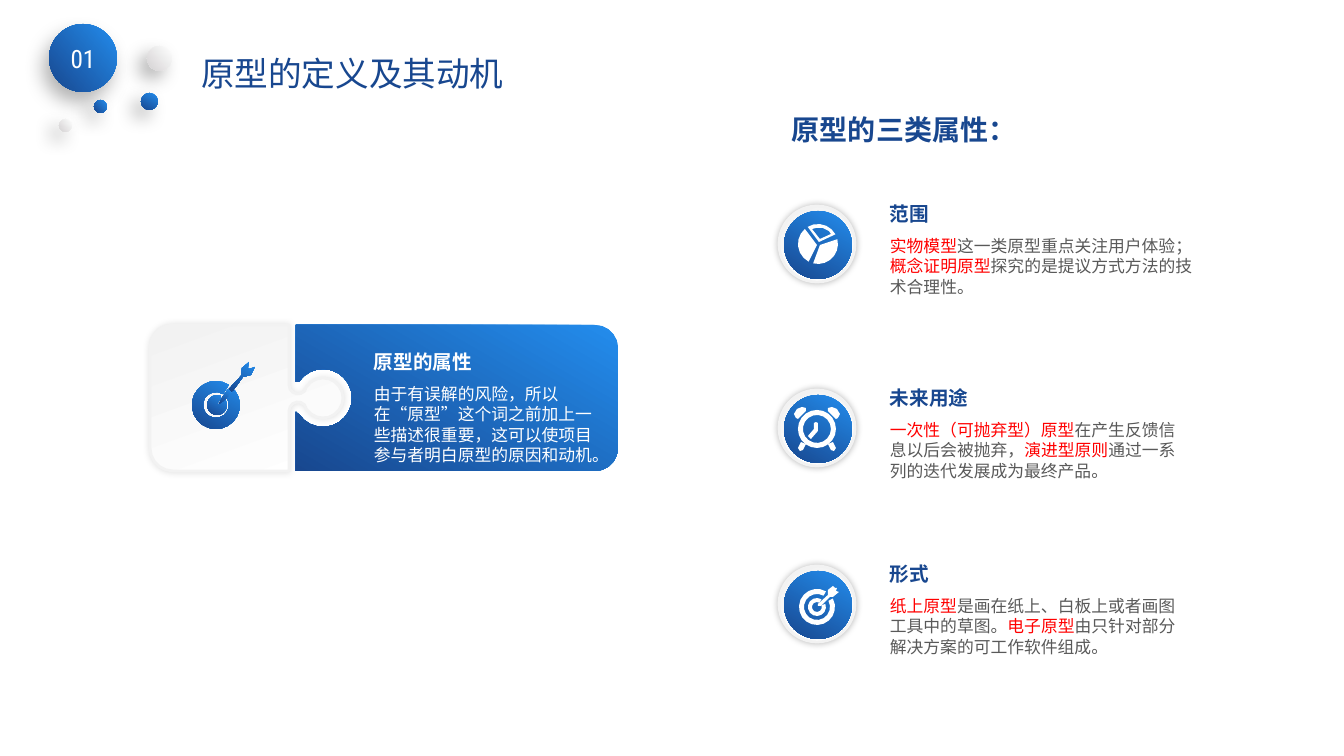
from math import cos, radians, sin, sqrt

from lxml import etree
from pptx import Presentation
from pptx.dml.color import RGBColor
from pptx.enum.shapes import MSO_SHAPE
from pptx.enum.text import MSO_ANCHOR, PP_ALIGN
from pptx.oxml.ns import qn
from pptx.util import Pt

OVAL = MSO_SHAPE.OVAL
TOP, MIDDLE = MSO_ANCHOR.TOP, MSO_ANCHOR.MIDDLE
LEFT, CENTER = PP_ALIGN.LEFT, PP_ALIGN.CENTER
PX = 914400 / 100.8
NAVY, RED, GRAY, WHITE, PALE = "18478F", "FF0000", "595959", "FFFFFF", "F2F2F2"
BLUE, SNOW, ASH = ("238DED", NAVY), (WHITE, PALE), (WHITE, "D4D2D3")
SANS = "Noto Sans CJK SC"


def emu(*vals):
    """Turn pixels into EMU."""
    return [round(v * PX) for v in vals]


def rgb(code):
    """Turn a hex string into a colour."""
    return RGBColor.from_string(code)


def paint(shape, fill, ang=120, edge=None, shade=None):
    """Set solid or gradient fill, outline and shadow (alpha, blur, distance, angle)."""
    shape.shadow.inherit = False
    if isinstance(fill, str):
        shape.fill.solid()
        shape.fill.fore_color.rgb = rgb(fill)
    else:
        shape.fill.gradient()
        shape.fill.gradient_angle = 360 - ang
        for stop, code in zip(shape.fill.gradient_stops, fill):
            stop.color.rgb = rgb(code)
    if edge:
        shape.line.color.rgb = rgb(edge)
        shape.line.width = Pt(2)
    else:
        shape.line.fill.background()
    if shade:
        alpha, blur, dist, turn = shade
        group = shape._element.spPr.find(qn("a:effectLst"))
        drop = etree.SubElement(group, qn("a:outerShdw"), blurRad=str(Pt(blur)),
                                dist=str(Pt(dist)), dir=str(turn * 60000),
                                algn="ctr", rotWithShape="0")
        tone = etree.SubElement(drop, qn("a:srgbClr"), val="000000")
        etree.SubElement(tone, qn("a:alpha"), val=str(alpha * 1000))


def write(frame, runs, size, font=SANS, bold=False, align=LEFT, anchor=TOP):
    """Fill a text frame with (text, colour) runs."""
    frame.word_wrap = True
    frame.vertical_anchor = anchor
    para = frame.paragraphs[0]
    para.alignment = align
    para.line_spacing = Pt(1.2 * size)
    for text, code in runs:
        run = para.add_run()
        run.text = text
        run.font.size, run.font.name, run.font.bold = Pt(size), font, bold
        run.font.color.rgb = rgb(code)
        etree.SubElement(run._r.rPr, qn("a:ea"), typeface=font)


def label(slide, box, runs, size, bold=False):
    """Add a wrapped text box."""
    write(slide.shapes.add_textbox(*emu(*box)).text_frame, runs, size, bold=bold)


def dot(slide, x, y, size, fill, **look):
    """Add a painted circle."""
    shape = slide.shapes.add_shape(OVAL, *emu(x, y, size, size))
    paint(shape, fill, **look)
    return shape


def arc(x, y, r, start, end):
    """List points along an arc, in degrees clockwise from the right."""
    count = max(3, round(abs(end - start) * sqrt(r) / 80))
    turns = [radians(start + (end - start) * i / count) for i in range(count + 1)]
    return [(x + r * cos(t), y + r * sin(t)) for t in turns]


def ring(x, y, big, small, start, end):
    """List points of a ring open between end and start."""
    return arc(x, y, big, start, end) + arc(x, y, small, end, start)


def draw(slide, left, top, loops, fill, **look):
    """Add one freeform made of closed loops placed from left and top."""
    loops = [[emu(left + x, top + y) for x, y in loop] for loop in loops]
    pen = slide.shapes.build_freeform(*loops[0][0], scale=1.0)
    for i, loop in enumerate(loops):
        if i:
            pen.move_to(*loop[0])
        pen.add_line_segments(loop[1:], close=True)
    paint(pen.convert_to_shape(), fill, **look)


def flip(loop):
    """Mirror a loop across the middle of a badge."""
    return [(76 - x, y) for x, y in loop]


EAR = [(49, 18), (49, 21), (57, 29), (59, 28), (61, 24), (58, 19), (53, 17)]
LEG = [(54, 52), (57, 58), (55, 61), (52, 60), (49, 54)]
PIE = [
    [[(41, 39)] + arc(39, 38, 20, 104, -14)],
    [[(40, 36)] + arc(39, 38, 20, -29, -121),
     [(41, 33), (33, 23), (37, 22), (44, 22), (50, 25), (52, 28)]],
    [[(38, 39)] + arc(39, 38, 20, 118, 229)],
]
CLOCK = [[EAR], [flip(EAR)], [LEG], [flip(LEG)], [arc(38, 39, 19, 0, 360), arc(38, 39, 14, 360, 0)],
         [[(35, 33), (37, 32), (39, 33), (39, 41), (32, 49), (29, 46), (35, 39)]]]
GOAL = [
    [ring(38, 41, 18, 13, -28, 300)], [ring(38, 41, 9, 5, -20, 300)],
    [[(57, 25), (58, 22), (56, 22), (54, 20), (49, 24), (49, 29), (39, 38),
      (39, 40), (42, 40), (51, 31), (54, 31), (60, 26)]],
]
DART = [
    [[(60, 13), (52, 15), (41, 30), (38, 27), (50, 14), (51, 6), (58, 0), (57, 6), (58, 7), (64, 5)]],
    [ring(25, 43, 24, 13, -38, 303)],
    [arc(26, 43, 10, -28, 292) + [(30, 36), (26, 42), (28, 43), (33, 39)]],
    [[(37, 27), (40, 30), (35, 37), (28, 42), (31, 36)]],
]
ROWS = [
    (197, 328, PIE, "范围", [
        ("实物模型", RED), ("这一类原型重点关注用户体验；", GRAY),
        ("概念证明原型", RED), ("探究的是提议方式方法的技术合理性。", GRAY)]),
    (381, 314, CLOCK, "未来用途", [
        ("一次性（可抛弃型）原型", RED), ("在产生反馈信息以后会被抛弃，", GRAY),
        ("演进型原则", RED), ("通过一系列的迭代发展成为最终产品。", GRAY)]),
    (557, 314, GOAL, "形式", [
        ("纸上原型", RED), ("是画在纸上、白板上或者画图工具中的草图。", GRAY),
        ("电子原型", RED), ("由只针对部分解决方案的可工作软件组成。", GRAY)]),
]


def header(slide, left, top):
    """Place the numbered bubbles and the title."""
    title = slide.shapes.title
    title.left, title.top, title.width, title.height = emu(left + 142, top + 24, 352, 50)
    write(title.text_frame, [("原型的定义及其动机", NAVY)], 24, "Open Sans")
    ball = dot(slide, left, top, 68, BLUE, ang=140, shade=(30, 14, 8, 120))
    write(ball.text_frame, [("01", WHITE)], 18, "Roboto Condensed", align=CENTER, anchor=MIDDLE)
    for x, y, size, fill, ang in [(98, 22, 25, ASH, 140), (10, 95, 13, ASH, 140),
                                  (45, 76, 13, BLUE, 140), (92, 69, 17, BLUE, 120)]:
        dot(slide, left + x, top + y, size, fill, ang=ang, shade=(30, 13, 8, 135))


def puzzle(slide, left, top, wide, high):
    """Place the two joined pieces, the dart icon and their text."""
    r, mid = 23, high / 2
    tab = (arc(148, mid - 13, 9, 180, 45) + arc(173, mid, 20, 215, 505)
           + arc(148, mid + 13, 9, -45, -180))
    piece = arc(r, r, r, 180, 270) + [(139, 0)] + tab + [(139, high)] + arc(r, high - r, r, 90, 180)
    draw(slide, left, top, [piece], SNOW, ang=250, edge=PALE, shade=(11, 5, 0, 0))
    panel = ([(146, 0)] + arc(wide - r, r, r, 270, 360) + arc(wide - r, high - r, r, 0, 90)
             + [(146, high), (146, mid + 14)] + arc(173, mid, 29, 145, -145) + [(146, mid - 16)])
    draw(slide, left, top, [panel], BLUE)
    for loops in DART:
        draw(slide, left + 41, top + 37, loops, BLUE)
    label(slide, (left + 214, top + 20, 170, 34), [("原型的属性", WHITE)], 14, True)
    label(slide, (left + 214, top + 54, 239, 92), [(
        "由于有误解的风险，所以在“原型”这个词之前加上一些描述很重要，"
        "这可以使项目参与者明白原型的原因和动机。", WHITE)], 12)


def entry(slide, left, top, wide, icon, name, runs):
    """Place one badge with its heading and description."""
    y = top + 9
    dot(slide, left, y, 76, SNOW, ang=250, edge=PALE, shade=(26, 5, 0, 0))
    dot(slide, left + 5, y + 5, 68, BLUE)
    for loops in icon:
        draw(slide, left, y, loops, WHITE)
    label(slide, (left + 101, top, 175, 34), [(name, NAVY)], 14, True)
    label(slide, (left + 101, top + 34, wide, 72), runs, 12)


def main():
    """Build and save the slide."""
    deck = Presentation()
    deck.slide_width, deck.slide_height = emu(1344, 756)
    slide = deck.slides.add_slide(deck.slide_layouts[5])
    header(slide, 49, 24)
    puzzle(slide, 150, 325, 468, 146)
    label(slide, (782, 108, 430, 44), [("原型的三类属性：", NAVY)], 20, True)
    for top, wide, icon, name, runs in ROWS:
        entry(slide, 779, top, wide, icon, name, runs)
    deck.save("out.pptx")


main()
